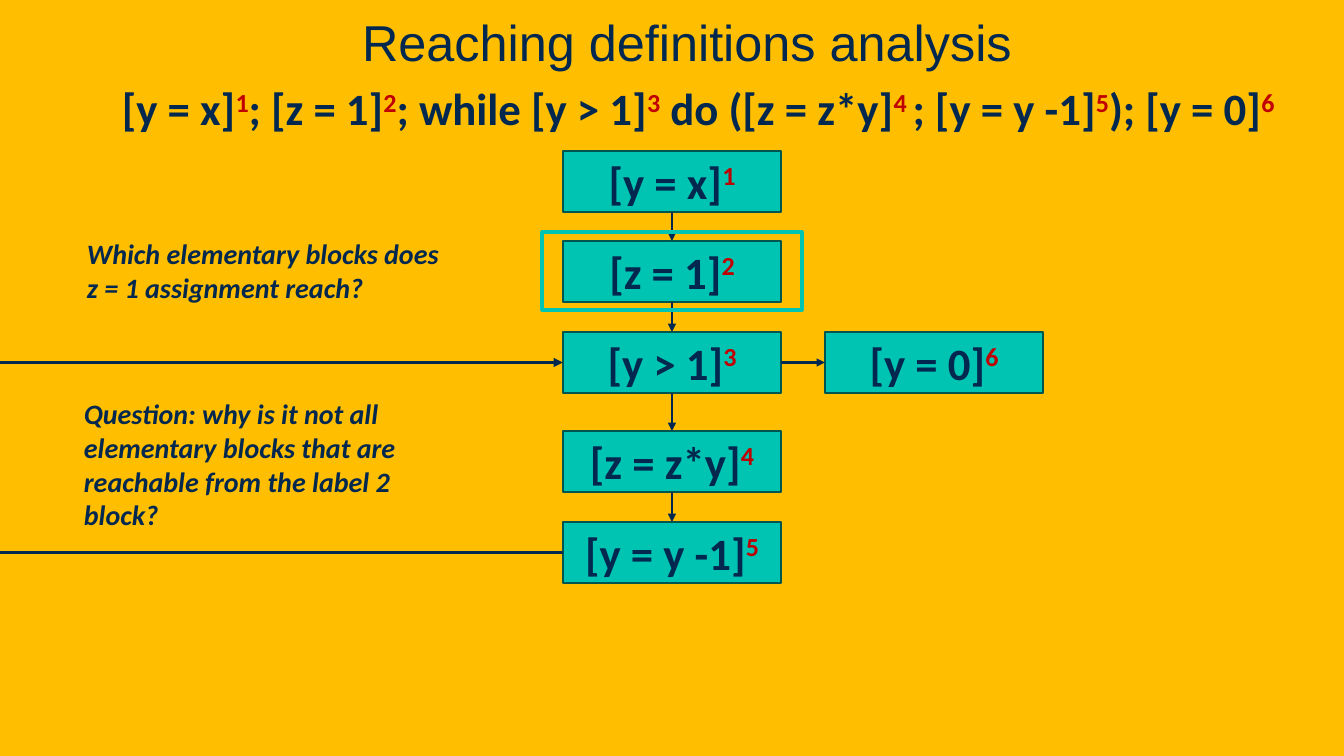
from itertools import pairwise

from lxml import etree
from pptx import Presentation
from pptx.dml.color import RGBColor
from pptx.enum.shapes import MSO_CONNECTOR, MSO_SHAPE
from pptx.enum.text import MSO_ANCHOR, MSO_AUTO_SIZE, PP_ALIGN
from pptx.oxml.ns import qn
from pptx.util import Pt

EMU_PER_PX = 914400 / 100.8
SLIDE_BOX = (0, 0, 1344, 756)

AMBER = RGBColor(0xFF, 0xBE, 0x00)
NAVY = RGBColor(0x02, 0x28, 0x50)
TEAL = RGBColor(0x00, 0xC4, 0xB2)
DARK_TEAL = RGBColor(0x00, 0x56, 0x4E)
RED = RGBColor(0xC0, 0x00, 0x00)

RECTANGLE = MSO_SHAPE.RECTANGLE
STRAIGHT = MSO_CONNECTOR.STRAIGHT
CENTER = PP_ALIGN.CENTER
MIDDLE = MSO_ANCHOR.MIDDLE
BOTTOM = MSO_ANCHOR.BOTTOM
FIT_SHAPE = MSO_AUTO_SIZE.SHAPE_TO_FIT_TEXT
TOP_SIDE, LEFT_SIDE, BOTTOM_SIDE, RIGHT_SIDE = range(4)

PROGRAM = ["[y = x]", "1", "; [z = 1]", "2", "; while [y > 1]", "3",
           " do ([z = z*y]", "4 ", "; [y = y -1]", "5", "); [y = 0]", "6"]
COLUMN_BLOCKS = [("[y = x]", "1", 0), ("[z = 1]", "2", 90), ("[y > 1]", "3", 181),
                 ("[z = z*y]", "4", 280), ("[y = y -1]", "5", 371)]
EXIT_BLOCK = ("[y = 0]", "6")
BLOCK_WIDTH, BLOCK_HEIGHT = 218, 61
EXIT_OFFSET = 262


def px(length):
    """Turn pixels into EMU."""
    return round(length * EMU_PER_PX)


def emu_box(box):
    """Turn a pixel box into EMU lengths."""
    return [px(length) for length in box]


def write_labelled(paragraph, pieces):
    """Write pieces that alternate between code and its superscript label."""
    for index, piece in enumerate(pieces):
        run = paragraph.add_run()
        run.text = piece
        font = run.font
        font.name, font.size, font.bold = "Calibri", Pt(32), True
        font.color.rgb = NAVY
        if index % 2:
            font.color.rgb = RED
            run._r.get_or_add_rPr().set("baseline", "30000")


def add_title(slide, box):
    """Place the slide title at the bottom of its box."""
    text_frame = slide.shapes.add_textbox(*emu_box(box)).text_frame
    text_frame.word_wrap = True
    text_frame.vertical_anchor = BOTTOM
    text_frame.text = "Reaching definitions analysis"
    paragraph = text_frame.paragraphs[0]
    paragraph.alignment = CENTER
    paragraph._p.get_or_add_pPr().set("marL", str(px(30)))
    font = paragraph.runs[0].font
    font.name, font.size = "Arial", Pt(36)
    font.color.rgb = NAVY


def add_program(slide, box):
    """Place the labelled program on one line."""
    text_frame = slide.shapes.add_textbox(*emu_box(box)).text_frame
    text_frame.word_wrap = False
    text_frame.auto_size = FIT_SHAPE
    write_labelled(text_frame.paragraphs[0], PROGRAM)


def add_question(slide, box, text):
    """Place a question in bold italics."""
    text_frame = slide.shapes.add_textbox(*emu_box(box)).text_frame
    text_frame.word_wrap = True
    text_frame.auto_size = FIT_SHAPE
    text_frame.text = text
    font = text_frame.paragraphs[0].runs[0].font
    font.name, font.size = "Calibri", Pt(20)
    font.bold = font.italic = True
    font.color.rgb = NAVY


def add_block(slide, left, top, code, label):
    """Place one elementary block and return its shape."""
    box = emu_box((left, top, BLOCK_WIDTH, BLOCK_HEIGHT))
    shape = slide.shapes.add_shape(RECTANGLE, *box)
    shape.shadow.inherit = False
    shape.fill.solid()
    shape.fill.fore_color.rgb = TEAL
    shape.line.color.rgb = DARK_TEAL
    shape.line.width = Pt(1)
    shape.text_frame.vertical_anchor = MIDDLE
    paragraph = shape.text_frame.paragraphs[0]
    paragraph.alignment = CENTER
    write_labelled(paragraph, [code, label])
    return shape


def add_line(slide, width, arrow=True):
    """Add a navy connector whose ends are set by the caller."""
    connector = slide.shapes.add_connector(STRAIGHT, 0, 0, 0, 0)
    connector.line.color.rgb = NAVY
    connector.line.width = Pt(width)
    if arrow:
        etree.SubElement(connector.line._get_or_add_ln(), qn("a:tailEnd"), type="triangle")
    etree.SubElement(connector._element.spPr, qn("a:effectLst"))
    return connector


def join(slide, source, source_side, target, target_side):
    """Draw an arrow between two blocks."""
    connector = add_line(slide, 1.75)
    connector.begin_connect(source, source_side)
    connector.end_connect(target, target_side)


def add_loop_back(slide, source, target):
    """Draw the loop edge that runs by way of the left slide edge."""
    outgoing = add_line(slide, 2.25, arrow=False)
    outgoing.begin_connect(source, LEFT_SIDE)
    outgoing.end_x, outgoing.end_y = 0, source.top + source.height // 2
    incoming = add_line(slide, 2.25)
    incoming.begin_x, incoming.begin_y = 0, target.top + target.height // 2
    incoming.end_connect(target, LEFT_SIDE)


def add_flow_graph(slide, left, top):
    """Place the control flow graph with its top block at the given corner."""
    column = [add_block(slide, left, top + offset, code, label)
              for code, label, offset in COLUMN_BLOCKS]
    condition, body_end = column[2], column[4]
    exit_block = add_block(slide, left + EXIT_OFFSET, top + COLUMN_BLOCKS[2][2], *EXIT_BLOCK)
    for upper, lower in pairwise(column):
        join(slide, upper, BOTTOM_SIDE, lower, TOP_SIDE)
    join(slide, condition, RIGHT_SIDE, exit_block, LEFT_SIDE)
    add_loop_back(slide, body_end, condition)


def add_highlight(slide, box):
    """Frame the block in question."""
    shape = slide.shapes.add_shape(RECTANGLE, *emu_box(box))
    shape.shadow.inherit = False
    shape.fill.background()
    shape.line.color.rgb = TEAL
    shape.line.width = Pt(2.25)


def main():
    """Build the slide and save it."""
    presentation = Presentation()
    presentation.slide_width, presentation.slide_height = emu_box(SLIDE_BOX[2:])
    slide = presentation.slides.add_slide(presentation.slide_layouts[6])
    slide.background.fill.solid()
    slide.background.fill.fore_color.rgb = AMBER
    add_title(slide, (0, 0, 1344, 77))
    add_flow_graph(slide, 563, 151)
    add_program(slide, (112, 76, 1206, 65))
    add_highlight(slide, (542, 232, 260, 78))
    add_question(slide, (77, 232, 377, 78),
                 "Which elementary blocks does z = 1 assignment reach?")
    add_question(slide, (74, 392, 377, 146),
                 "Question: why is it not all elementary blocks that are "
                 "reachable from the label 2 block?")
    presentation.save("out.pptx")


if __name__ == "__main__":
    main()
